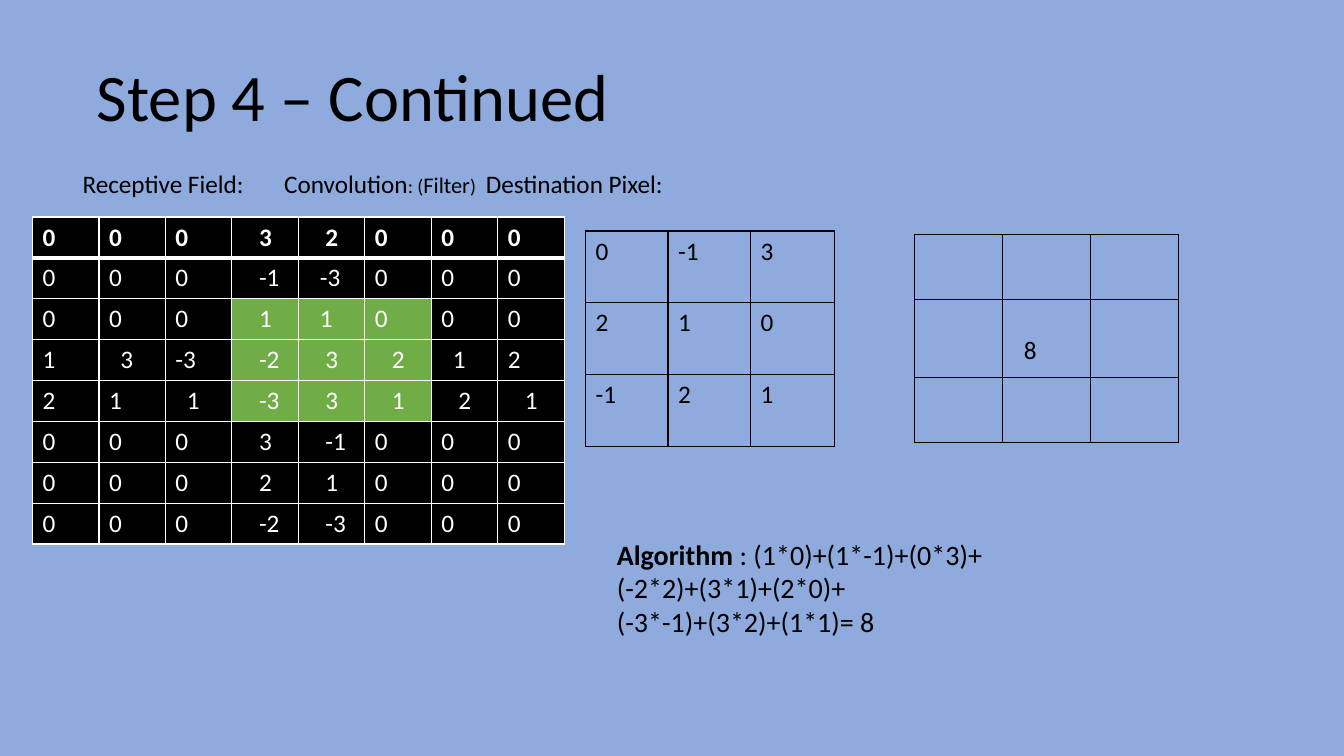
from dataclasses import dataclass
from typing import Optional

from lxml.etree import SubElement
from pptx import Presentation
from pptx.dml.color import RGBColor
from pptx.enum.text import MSO_ANCHOR as Anchor, MSO_AUTO_SIZE as AutoSize, PP_ALIGN as Align
from pptx.oxml.ns import qn
from pptx.util import Pt

FONT = "Calibri"
BLACK, WHITE, GREEN, BACKGROUND = "000000", "FFFFFF", "70AD47", "8FAADC"
CELL_MARGIN = 7.2
SPACE_WIDTH = 4.07
TABS = (389.6, 629.6)


@dataclass
class Run:
    text: str
    size: float
    bold: bool = False


@dataclass
class Grid:
    left: float
    top: float
    columns: list[float]
    rows: list[float]
    values: list[list[str]]
    line: str
    line_width: float
    text_color: str
    fill: Optional[str] = None
    indents: Optional[list[str]] = None
    header_line: Optional[float] = None
    highlight: tuple[range, range] = (range(0), range(0))
    margin_top: float = 3.6


RECEPTIVE_FIELD = Grid(
    left=23.2, top=155, columns=[47.5] * 8, rows=[28.8] * 8,
    values=[row.split() for row in (
        "0 0 0 3 2 0 0 0",
        "0 0 0 -1 -3 0 0 0",
        "0 0 0 1 1 0 0 0",
        "1 3 -3 -2 3 2 1 2",
        "2 1 1 -3 3 1 2 1",
        "0 0 0 3 -1 0 0 0",
        "0 0 0 2 1 0 0 0",
        "0 0 0 -2 -3 0 0 0",
    )],
    indents=["00033000", "00032000", "00032000", "02033320",
             "00233333", "00033000", "00033000", "00033000"],
    line=WHITE, line_width=1, text_color=WHITE, fill=BLACK,
    header_line=3, highlight=(range(2, 5), range(3, 6)),
)
FILTER = Grid(
    left=418.2, top=165, columns=[59, 59, 60], rows=[51.3] * 3,
    values=[["0", "-1", "3"], ["2", "1", "0"], ["-1", "2", "1"]],
    line=BLACK, line_width=1, text_color=BLACK,
)
DESTINATION = Grid(
    left=653.2, top=167.6, columns=[62.8] * 3, rows=[46.4, 55.6, 46.4],
    values=[["", "", ""], ["", "8", ""], ["", "", ""]],
    indents=["000", "020", "000"],
    line=BLACK, line_width=0.75, text_color=BLACK, margin_top=25.6,
)
TITLE = [[Run("Step 4 – Continued", 47.5)]]
LABELS = [[
    Run("Receptive Field:\t", 18), Run("Convolution", 18), Run(": (", 14),
    Run("Filter", 16), Run(")\t", 14), Run("Destination Pixel:", 18),
]]
ALGORITHM = [
    [Run("Algorithm ", 20, True), Run(": (1*0)+(1*-1)+(0*3)+", 20)],
    [Run("(-2*2)+(3*1)+(2*0)+", 20)],
    [Run("(-3*-1)+(3*2)+(1*1)= 8", 20)],
]


def color(value: str) -> RGBColor:
    return RGBColor.from_string(value)


def style_font(font, size: float, text_color: str, bold: bool = False) -> None:
    font.name, font.size, font.bold = FONT, Pt(size), bold
    font.color.rgb = color(text_color)


def fill_placeholder(shape, box: tuple[float, float, float, float],
                     paragraphs: list[list[Run]], tabs: tuple[float, ...] = ()) -> None:
    shape.left, shape.top, shape.width, shape.height = map(Pt, box)
    frame = shape.text_frame
    frame.word_wrap, frame.auto_size = True, AutoSize.NONE
    frame.vertical_anchor = Anchor.TOP
    for index, runs in enumerate(paragraphs):
        paragraph = frame.add_paragraph() if index else frame.paragraphs[0]
        paragraph.alignment, paragraph.line_spacing = Align.LEFT, 1.0
        paragraph.space_before = Pt(0)
        properties = paragraph._p.get_or_add_pPr()
        properties.set("marL", "0")
        properties.set("indent", "0")
        SubElement(properties, qn("a:buNone"))
        if tabs:
            stops = SubElement(properties, qn("a:tabLst"))
            for position in tabs:
                SubElement(stops, qn("a:tab"), pos=str(Pt(position)), algn="l")
        for item in runs:
            run = paragraph.add_run()
            run.text = item.text
            style_font(run.font, item.size, BLACK, item.bold)


def add_border(cell, side: str, line: str, width: float) -> None:
    properties = cell._tc.get_or_add_tcPr()
    border = SubElement(properties, qn(f"a:ln{side}"), w=str(Pt(width)))
    SubElement(SubElement(border, qn("a:solidFill")), qn("a:srgbClr"), val=line)


def format_cell(cell, grid: Grid, row: int, column: int) -> None:
    header = grid.header_line
    edges = {"T": row == 1, "B": row == 0}
    for side in "LRTB":
        thick = header and edges.get(side)
        add_border(cell, side, grid.line, header if thick else grid.line_width)
    if grid.fill:
        marked = row in grid.highlight[0] and column in grid.highlight[1]
        cell.fill.solid()
        cell.fill.fore_color.rgb = color(GREEN if marked else grid.fill)
    else:
        cell.fill.background()
    value = grid.values[row][column]
    if value:
        indent = int(grid.indents[row][column]) if grid.indents else 0
        cell.margin_left = Pt(CELL_MARGIN + indent * SPACE_WIDTH)
        cell.margin_top = Pt(grid.margin_top)
        cell.text_frame.text = value
        run = cell.text_frame.paragraphs[0].runs[0]
        style_font(run.font, 18, grid.text_color, bool(header) and row == 0)


def add_grid(slide, grid: Grid) -> None:
    table = slide.shapes.add_table(
        len(grid.rows), len(grid.columns), Pt(grid.left), Pt(grid.top),
        Pt(sum(grid.columns)), Pt(sum(grid.rows))).table
    table.first_row = table.horz_banding = False
    for column, width in zip(table.columns, grid.columns):
        column.width = Pt(width)
    for row, height in zip(table.rows, grid.rows):
        row.height = Pt(height)
    for row in range(len(grid.rows)):
        for column in range(len(grid.columns)):
            format_cell(table.cell(row, column), grid, row, column)


def main() -> None:
    """Build the convolution step slide and save it."""
    presentation = Presentation()
    presentation.slide_width, presentation.slide_height = Pt(960), Pt(540)
    slide = presentation.slides.add_slide(presentation.slide_layouts[3])
    slide.background.fill.solid()
    slide.background.fill.fore_color.rgb = color(BACKGROUND)
    title, labels, algorithm = slide.placeholders
    fill_placeholder(title, (62, 35.5, 769, 65), TITLE)
    fill_placeholder(labels, (51.8, 116.6, 873.4, 51), LABELS, TABS)
    fill_placeholder(algorithm, (433.4, 380.2, 473.8, 80), ALGORITHM)
    for grid in (RECEPTIVE_FIELD, FILTER, DESTINATION):
        add_grid(slide, grid)
    presentation.save("out.pptx")


if __name__ == "__main__":
    main()
